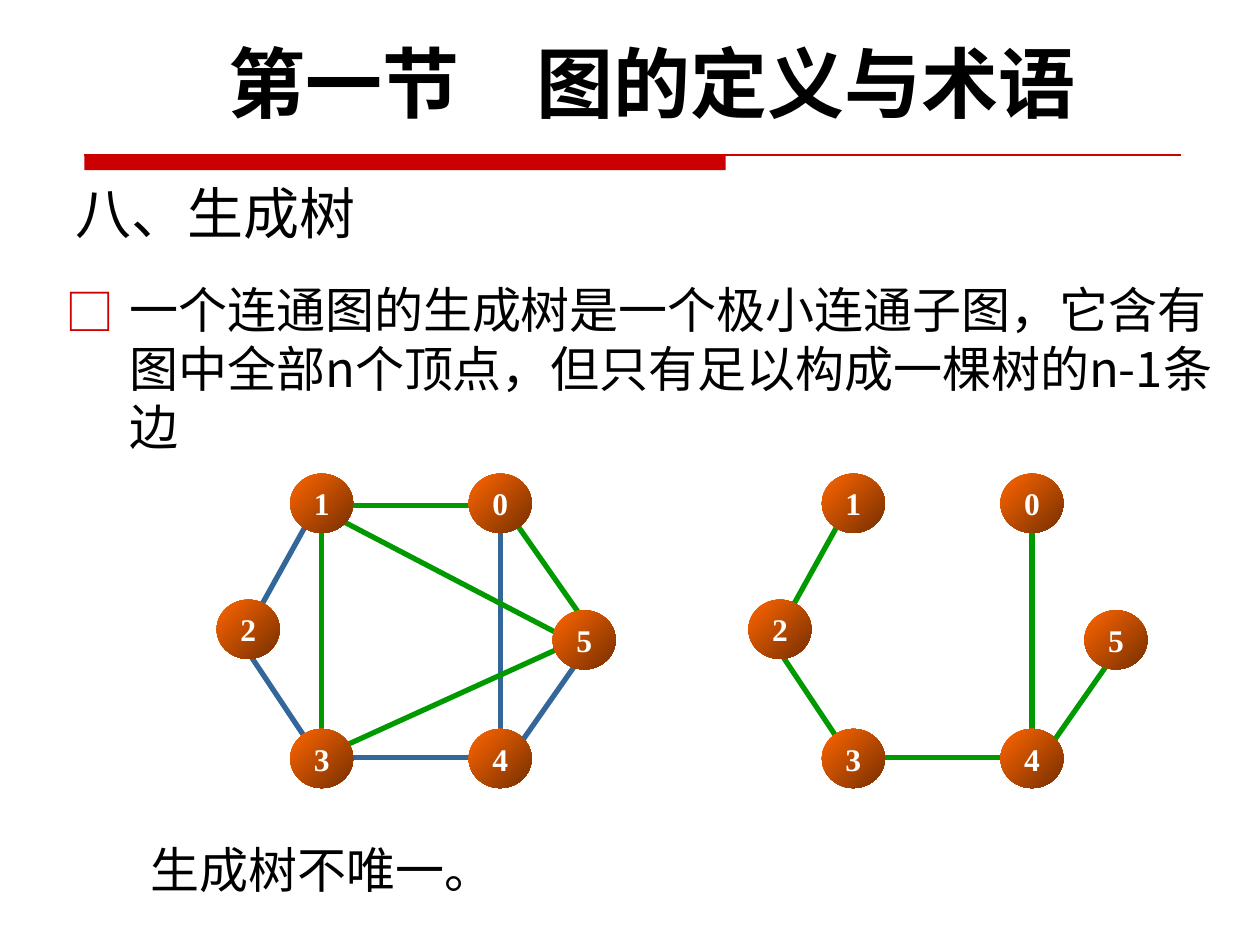
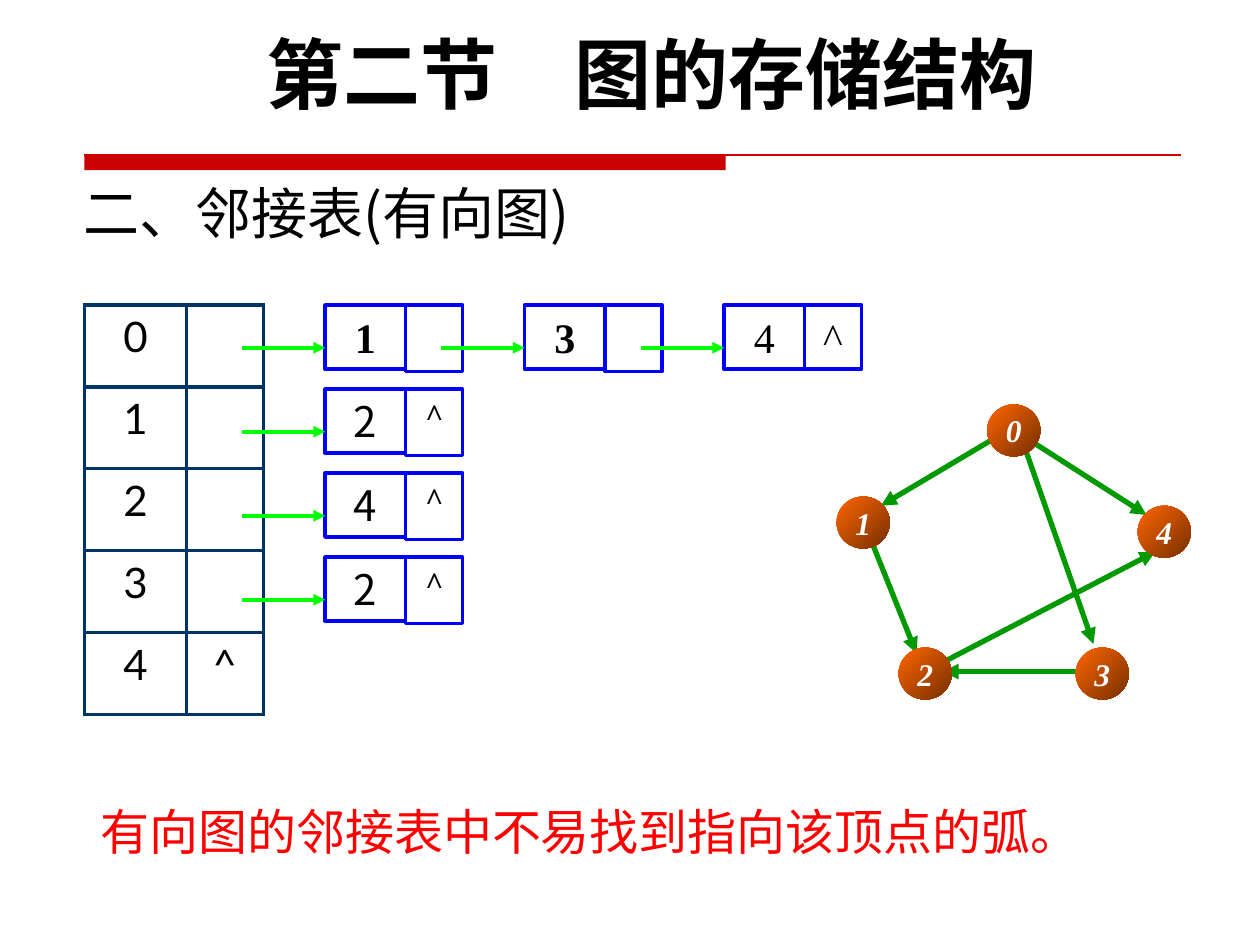
from typing import NamedTuple

from lxml import etree
from pptx import Presentation, util as u
from pptx.dml.color import RGBColor
from pptx.enum import shapes, text
from pptx.oxml import ns

SANS, LATIN, SERIF = "Noto Sans CJK SC", "Lato", "Times New Roman"
BLACK, WHITE, RED = "000000", "FFFFFF", "FF0000"
BAND_RED, NAVY, CELL_BLUE = "CC0000", "003366", "0000FF"
EDGE_GREEN, EDGE_BLUE, POINTER_GREEN = "009900", "336699", "00FF00"
NODE_LIGHT, NODE_DARK = "FF6600", "762F00"
LEFT, CENTER = text.PP_ALIGN.LEFT, text.PP_ALIGN.CENTER


class Box(NamedTuple):
    left: float
    top: float
    width: float
    height: float


class Edge(NamedTuple):
    x1: float
    y1: float
    x2: float
    y2: float


class Node(NamedTuple):
    label: str
    col: float
    row: float


class Style(NamedTuple):
    size: float
    font: str = SANS
    color: str = BLACK
    bold: bool = False
    italic: bool = False


class Grid(NamedTuple):
    """An origin in inches and the size of one column and one row."""
    left: float
    top: float
    col: float
    row: float

    def x(self, cols: float) -> int:
        return u.Inches(self.left + cols * self.col)

    def y(self, rows: float) -> int:
        return u.Inches(self.top + rows * self.row)

    def place(self, box: Box) -> tuple[int, int, int, int]:
        return (self.x(box.left), self.y(box.top),
                u.Inches(box.width * self.col), u.Inches(box.height * self.row))


PAGE = Grid(0, 0, 10 / 100, 7.5 / 75)
GRAPH = Grid(1.72, 3.76, 1 / 12, 1 / 12)
TREE = GRAPH._replace(left=5.94)
DIGRAPH = Grid(6.64, 3.21, 2.53 / 36, 2.12 / 29)
LISTS = Grid(2.58, 2.42, 19 / 12, 2 / 3)

HEADING = Style(44, LATIN, bold=True)
SECTION = Style(32)
BODY = Style(28)
NODE_TEXT = Style(18, SERIF, WHITE, bold=True)
INDEX = Style(24, LATIN)
SERIF_VALUE = Style(24, SERIF)
BOLD_VALUE = SERIF_VALUE._replace(bold=True)
SANS_VALUE = Style(24)
END_MARK = Style(18, SERIF, bold=True, italic=True)

GRAPH_NODES = [Node("1", 7, 0), Node("3", 7, 24.3), Node("2", 0, 12),
               Node("5", 32, 13), Node("4", 24, 24.3), Node("0", 24, 0)]
TREE_EDGES = [Edge(27, 5, 27, 25), Edge(9, 4, 4, 13), Edge(9, 26, 3, 17),
              Edge(26, 27, 11, 27), Edge(35, 17, 28, 27)]
OTHER_EDGES = [Edge(25, 3, 13, 3), Edge(28, 4, 35, 14), Edge(10, 26, 10, 5),
               Edge(34, 16, 11, 4), Edge(34, 16, 12, 26)]
DIGRAPH_NODES = [Node("1", 0, 10), Node("3", 27, 26.4), Node("2", 7, 26.4),
                 Node("4", 34, 11), Node("0", 17, 0)]
ARCS = [Edge(22, 4, 35, 12), Edge(4, 15, 9, 27), Edge(19, 3, 5, 11),
        Edge(21, 4, 29, 26), Edge(27, 29, 12, 29), Edge(12, 28, 36, 16)]


class ListCell(NamedTuple):
    col: int
    row: int
    value: str
    value_style: Style
    mark: str = "^"
    mark_style: Style = END_MARK


LIST_CELLS = [ListCell(0, 0, "1", BOLD_VALUE, ""),
              ListCell(1, 0, "3", BOLD_VALUE, ""),
              ListCell(2, 0, "4", SERIF_VALUE, "^", SERIF_VALUE),
              ListCell(0, 1, "2", SANS_VALUE),
              ListCell(0, 2, "4", SANS_VALUE),
              ListCell(0, 3, "2", SANS_VALUE)]


def rgb(color: str) -> RGBColor:
    return RGBColor.from_string(color)


def sub(parent, tag: str, **attributes: str):
    return etree.SubElement(parent, ns.qn(tag), attributes)


def write(frame, words: str, style: Style, align=LEFT):
    """Put one run in the first paragraph and return the paragraph."""
    paragraph = frame.paragraphs[0]
    paragraph.alignment = align
    run = paragraph.add_run()
    run.text = words
    font = run.font
    font.size, font.name = u.Pt(style.size), style.font
    font.bold, font.italic = style.bold, style.italic
    font.color.rgb = rgb(style.color)
    sub(run._r.get_or_add_rPr(), "a:ea", typeface=LATIN)
    return paragraph


def add_text(slide, box: Box, words: str, style: Style, align=LEFT):
    frame = slide.shapes.add_textbox(*PAGE.place(box)).text_frame
    frame.word_wrap = True
    return write(frame, words, style, align)


def add_line(slide, grid: Grid, edge: Edge, color: str, weight: float,
             arrow: bool = False) -> None:
    line = slide.shapes.add_connector(
        shapes.MSO_CONNECTOR.STRAIGHT, grid.x(edge.x1), grid.y(edge.y1),
        grid.x(edge.x2), grid.y(edge.y2))
    line.line.color.rgb = rgb(color)
    line.line.width = u.Pt(weight)
    if arrow:
        sub(line.line._get_or_add_ln(), "a:tailEnd", type="triangle")
    sub(line._element.spPr, "a:effectLst")


def add_nodes(slide, grid: Grid, nodes: list[Node], style: Style) -> None:
    for node in nodes:
        disc = slide.shapes.add_shape(
            shapes.MSO_SHAPE.OVAL, *grid.place(Box(node.col, node.row, 6, 5.64)))
        disc.shadow.inherit = False
        disc.line.fill.background()
        disc.fill.gradient()
        disc.fill.gradient_angle = 315
        for stop, color in zip(disc.fill.gradient_stops, (NODE_LIGHT, NODE_DARK)):
            stop.color.rgb = rgb(color)
        frame = disc.text_frame
        frame.word_wrap = False
        frame.margin_left = frame.margin_right = 0
        frame.vertical_anchor = text.MSO_ANCHOR.MIDDLE
        write(frame, node.label, style, CENTER)


def add_edges(slide, grid: Grid, edges: list[Edge], color: str,
              arrow: bool = False) -> None:
    for edge in edges:
        add_line(slide, grid, edge, color, 3, arrow)


def add_page(deck, chapter: str, chapter_top: float, section: str, section_box: Box):
    """Add a slide with the red band, chapter heading and section title."""
    slide = deck.slides.add_slide(deck.slide_layouts[5])
    band = slide.shapes.add_shape(shapes.MSO_SHAPE.RECTANGLE,
                                  *PAGE.place(Box(6.7, 12.3, 50.9, 1.2)))
    band.shadow.inherit = False
    band.fill.solid()
    band.fill.fore_color.rgb = rgb(BAND_RED)
    band.line.fill.background()
    add_line(slide, PAGE, Edge(6.7, 12.3, 93.7, 12.3), BAND_RED, 0.75)
    title = slide.shapes.title
    title.left, title.top, title.width, title.height = PAGE.place(section_box)
    title.text_frame.vertical_anchor = text.MSO_ANCHOR.BOTTOM
    write(title.text_frame, section, SECTION)
    add_text(slide, Box(5.5, chapter_top, 92.5, 8.4), chapter, HEADING, CENTER)
    return slide


def add_definition(slide, words: str) -> None:
    paragraph = add_text(slide, Box(4.2, 21.7, 95.8, 44.2), words, BODY)
    paragraph.line_spacing = u.Pt(33.5)
    properties = paragraph._p.get_or_add_pPr()
    properties.set("marL", str(u.Inches(0.51)))
    properties.set("indent", str(-u.Inches(0.51)))
    sub(sub(properties, "a:buClr"), "a:srgbClr", val=BAND_RED)
    sub(properties, "a:buFont", typeface=SANS)
    sub(properties, "a:buChar", char="□")


def add_vertex_table(slide) -> None:
    table = slide.shapes.add_table(5, 2, *PAGE.place(Box(6.7, 24.2, 14.2, 32.5))).table
    table.first_row = table.horz_banding = False
    for column, width in zip(table.columns, (0.81, 0.61)):
        column.width = u.Inches(width)
    for index, row in enumerate(table.rows):
        row.height = u.Inches(0.65)
        for cell, words in zip(row.cells, (str(index), "^" if index == 4 else "")):
            for side in "LRTB":
                border = sub(cell._tc.get_or_add_tcPr(), f"a:ln{side}",
                             w=str(u.Pt(2.25)))
                sub(sub(border, "a:solidFill"), "a:srgbClr", val=NAVY)
            cell.fill.background()
            if words:
                write(cell.text_frame, words, INDEX, CENTER)


def add_list_cell(slide, cell: ListCell) -> None:
    """Draw a value box, its link box and the pointer that leads to them."""
    here = Grid(LISTS.left + cell.col * LISTS.col,
                LISTS.top + cell.row * LISTS.row, 1, 1)
    link_height = 0.51 if cell.col == 2 else 0.53
    parts = [(Box(0, 0, 0.64, 0.51), cell.value, cell.value_style),
             (Box(0.64, 0, 0.45, link_height), cell.mark, cell.mark_style)]
    for box, words, style in parts:
        part = slide.shapes.add_shape(shapes.MSO_SHAPE.RECTANGLE, *here.place(box))
        part.shadow.inherit = False
        part.fill.background()
        part.line.color.rgb = rgb(CELL_BLUE)
        part.line.width = u.Pt(2)
        part.text_frame.vertical_anchor = text.MSO_ANCHOR.TOP
        if words:
            write(part.text_frame, words, style, CENTER)
    add_line(slide, here, Edge(-0.66, 0.34, 0, 0.34), POINTER_GREEN, 2.25, True)


def build_spanning_tree(deck) -> None:
    slide = add_page(deck, "第一节　图的定义与术语", 2.3,
                     "八、生成树", Box(5, 12.5, 62.5, 7.5))
    add_definition(slide, "一个连通图的生成树是一个极小连通子图，它含有图中全部n个顶点，"
                          "但只有足以构成一棵树的n-1条边")
    add_edges(slide, GRAPH, TREE_EDGES, EDGE_BLUE)
    add_edges(slide, GRAPH, OTHER_EDGES, EDGE_GREEN)
    add_edges(slide, TREE, TREE_EDGES, EDGE_GREEN)
    for grid in (GRAPH, TREE):
        add_nodes(slide, grid, GRAPH_NODES, NODE_TEXT)
    add_text(slide, Box(11, 66.1, 32.4, 5.7), "生成树不唯一。", BODY)


def build_adjacency_list(deck) -> None:
    slide = add_page(deck, "第二节　图的存储结构", 1.6,
                     "二、邻接表(有向图)", Box(5.6, 12.5, 72.5, 7.5))
    add_vertex_table(slide)
    add_edges(slide, DIGRAPH, ARCS, EDGE_GREEN, arrow=True)
    add_nodes(slide, DIGRAPH, DIGRAPH_NODES, NODE_TEXT._replace(italic=True))
    for cell in LIST_CELLS:
        add_list_cell(slide, cell)
    remark = add_text(slide, Box(7, 61.7, 87.5, 6.3),
                      "有向图的邻接表中不易找到指向该顶点的弧。", BODY._replace(color=RED))
    remark.line_spacing = 1.3


def main() -> None:
    deck = Presentation()
    deck.slide_width, deck.slide_height = u.Inches(10), u.Inches(7.5)
    build_spanning_tree(deck)
    build_adjacency_list(deck)
    deck.save("out.pptx")


if __name__ == "__main__":
    main()
